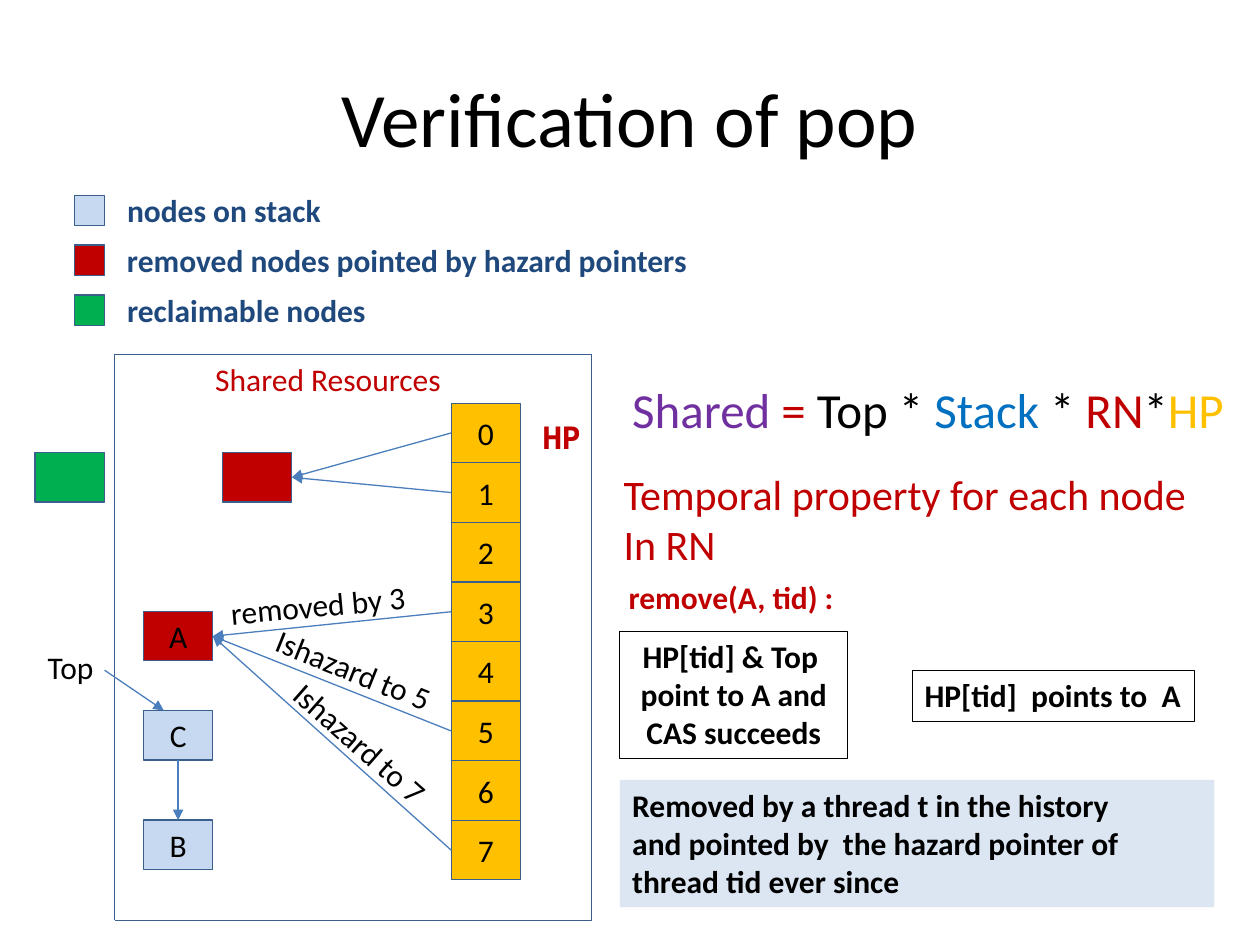
from dataclasses import dataclass

from lxml import etree
from pptx import Presentation
from pptx.dml.color import RGBColor
from pptx.enum.dml import MSO_LINE
from pptx.enum.shapes import MSO_CONNECTOR, MSO_SHAPE
from pptx.enum.text import MSO_ANCHOR, MSO_AUTO_SIZE, PP_ALIGN
from pptx.oxml.ns import qn
from pptx.util import Pt

RECTANGLE = MSO_SHAPE.RECTANGLE
STRAIGHT = MSO_CONNECTOR.STRAIGHT
DOTTED = MSO_LINE.ROUND_DOT
LEFT, CENTER = PP_ALIGN.LEFT, PP_ALIGN.CENTER
TOP, MIDDLE = MSO_ANCHOR.TOP, MSO_ANCHOR.MIDDLE
FIT_TEXT, NO_FIT = MSO_AUTO_SIZE.SHAPE_TO_FIT_TEXT, MSO_AUTO_SIZE.NONE
TITLE_ONLY = 5

BLACK, RED, GREEN, GOLD = "000000", "C00000", "00B050", "FFC000"
PALE_BLUE, NAVY, OUTLINE, ARROW = "C6D9F1", "1F497D", "3A5F8C", "4B7EBC"
PURPLE, BLUE, NOTE_FILL = "7030A0", "0070C0", "DCE6F2"

NODE_WIDTH, NODE_HEIGHT = 39.6, 28.3
SLOT_LEFT, SLOT_TOP, SLOT_HEIGHT = 257.8, 230.4, 34.05
LEGEND_TOP, LEGEND_PITCH, SWATCH = 111.6, 28.5, 17.3
LABEL_HEIGHT = 29.1


@dataclass(frozen=True)
class Box:
    left: float
    top: float
    width: float
    height: float = LABEL_HEIGHT

    @property
    def left_middle(self):
        return self.left, self.top + self.height / 2

    @property
    def right_middle(self):
        return self.left + self.width, self.top + self.height / 2

    @property
    def top_center(self):
        return self.left + self.width / 2, self.top

    @property
    def bottom_center(self):
        return self.left + self.width / 2, self.top + self.height

    def in_points(self):
        return [Pt(v) for v in (self.left, self.top, self.width, self.height)]


@dataclass(frozen=True)
class Node:
    box: Box
    fill: str
    name: str = ""


@dataclass(frozen=True)
class Label:
    text: str
    box: Box
    color: str = BLACK
    size: int = 18
    bold: bool = False
    rotation: float = 0
    font: str = "Calibri"
    wrap: bool = False


def node_box(left: float, top: float) -> Box:
    return Box(left, top, NODE_WIDTH, NODE_HEIGHT)


def rgb(color: str) -> RGBColor:
    return RGBColor.from_string(color)


def write(shape, text, *, size=18, color=BLACK, bold=False, font="Calibri",
          align=LEFT, anchor=TOP, wrap=True, fit=FIT_TEXT):
    """Text is a string, one paragraph a line, or a list of (text, color) spans."""
    frame = shape.text_frame
    frame.word_wrap, frame.auto_size = wrap, fit
    frame.vertical_anchor = anchor
    if isinstance(text, str):
        lines = [[(line, color)] for line in text.split("\n")]
    else:
        lines = [text]
    for index, spans in enumerate(lines):
        para = frame.add_paragraph() if index else frame.paragraphs[0]
        para.alignment = align
        for words, span_color in spans:
            span = para.add_run()
            span.text = words
            span.font.name, span.font.size, span.font.bold = font, Pt(size), bold
            span.font.color.rgb = rgb(span_color)


def add_box(page, box: Box, *, fill=None, line=None, width=0.0, dash=None):
    shape = page.shapes.add_shape(RECTANGLE, *box.in_points())
    shape.shadow.inherit = False
    if fill:
        shape.fill.solid()
        shape.fill.fore_color.rgb = rgb(fill)
    else:
        shape.fill.background()
    if line:
        shape.line.color.rgb = rgb(line)
        shape.line.width = Pt(width)
        if dash:
            shape.line.dash_style = dash
    else:
        shape.line.fill.background()
    return shape


def add_node(page, node: Node):
    shape = add_box(page, node.box, fill=node.fill, line=OUTLINE)
    if node.name:
        write(shape, node.name, align=CENTER, anchor=MIDDLE, fit=NO_FIT)


def add_label(page, label: Label):
    shape = page.shapes.add_textbox(*label.box.in_points())
    shape.rotation = label.rotation
    write(shape, label.text, size=label.size, color=label.color, bold=label.bold,
          font=label.font, wrap=label.wrap)


def add_arrow(page, start, end, width=0.75):
    arrow = page.shapes.add_connector(STRAIGHT, *[Pt(v) for v in (*start, *end)])
    arrow.line.color.rgb = rgb(ARROW)
    arrow.line.width = Pt(width)
    outline = arrow.line._get_or_add_ln()
    etree.SubElement(outline, qn("a:tailEnd"), type="triangle")
    etree.SubElement(outline.getparent(), qn("a:effectLst"))


LEGEND = [("nodes on stack", PALE_BLUE, 126),
          ("removed nodes pointed by hazard pointers", RED, 340.6),
          ("reclaimable nodes", GREEN, 151.9)]

SLOTS = [Node(Box(SLOT_LEFT, SLOT_TOP + i * SLOT_HEIGHT, NODE_WIDTH, SLOT_HEIGHT),
              GOLD, str(i)) for i in range(8)]
RECLAIMABLE = Node(node_box(20, 258.6), GREEN)
REMOVED = Node(node_box(127.2, 258.6), RED)
NODE_A = Node(node_box(82, 349.4), RED, "A")
NODE_B = Node(node_box(82, 468.6), PALE_BLUE, "B")
NODE_C = Node(node_box(82, 406), PALE_BLUE, "C")

HAZARDS = [(0, REMOVED), (1, REMOVED), (3, NODE_A), (5, NODE_A), (7, NODE_A)]

LABELS = [
    Label("Shared Resources", Box(115.9, 202.3, 144.7), RED),
    Label("HP", Box(303.1, 235.4, 39.6), RED, bold=True, font="Noto Sans Mono"),
    Label("Top", Box(20.2, 366.5, 41)),
    Label("removed by 3", Box(124.6, 331.2, 115.9), rotation=-5.2),
    Label("Ishazard to 5", Box(148.3, 368.6, 108.7), rotation=21.9),
    Label("Ishazard to 7", Box(151.9, 410.4, 108.7), rotation=41.4),
    Label("Temporal property for each node\nIn RN", Box(349.2, 264.2, 344.9, 65.4),
          RED, size=24, wrap=True),
    Label("remove(A, tid) :", Box(352.1, 326.9, 133.2), RED, bold=True),
    Label([("Shared", PURPLE), (" = ", RED), ("Top * ", BLACK), ("Stack ", BLUE),
           ("*", BLACK), (" RN", RED), ("*", BLACK), ("HP", GOLD)],
          Box(354.2, 213.1, 361.4, 41.2), size=28),
]


def main():
    deck = Presentation()
    deck.slide_width, deck.slide_height = Pt(720), Pt(540)
    page = deck.slides.add_slide(deck.slide_layouts[TITLE_ONLY])

    title = page.shapes.title
    title.left, title.top, title.width, title.height = Box(36, 21.6, 648, 90).in_points()
    write(title, "Verification of pop", size=44, align=CENTER, anchor=MIDDLE, fit=NO_FIT)

    for row, (text, fill, width) in enumerate(LEGEND):
        top = LEGEND_TOP + row * LEGEND_PITCH
        add_box(page, Box(42.5, top, SWATCH, SWATCH), fill=fill, line=OUTLINE)
        add_label(page, Label(text, Box(65.5, top - 5.8, width), NAVY, bold=True))

    add_box(page, Box(65.5, 202.3, 272.2, 323.3), line=OUTLINE, width=0.25, dash=DOTTED)
    for node in [*SLOTS, RECLAIMABLE, REMOVED, NODE_A, NODE_B, NODE_C]:
        add_node(page, node)
    for slot, target in HAZARDS:
        add_arrow(page, SLOTS[slot].box.left_middle, target.box.right_middle)
    add_arrow(page, (59.8, 383), (93.6, NODE_C.box.top))
    add_arrow(page, NODE_C.box.bottom_center, NODE_B.box.top_center, width=1.5)
    for label in LABELS:
        add_label(page, label)

    condition = add_box(page, Box(354.2, 360.7, 130.3, 72.7), line=BLACK, width=0.5)
    write(condition, "HP[tid] & Top \npoint to A and CAS succeeds", bold=True, align=CENTER)
    invariant = add_box(page, Box(521.3, 383, 161.3), line=BLACK, width=0.5)
    write(invariant, "HP[tid]  points to  A", bold=True)
    note = add_box(page, Box(354.2, 445.7, 339.8, 72.7), fill=NOTE_FILL)
    write(note, "Removed by a thread t in the history\n"
                "and pointed by  the hazard pointer of thread tid ever since", bold=True)

    deck.save("out.pptx")


if __name__ == "__main__":
    main()
